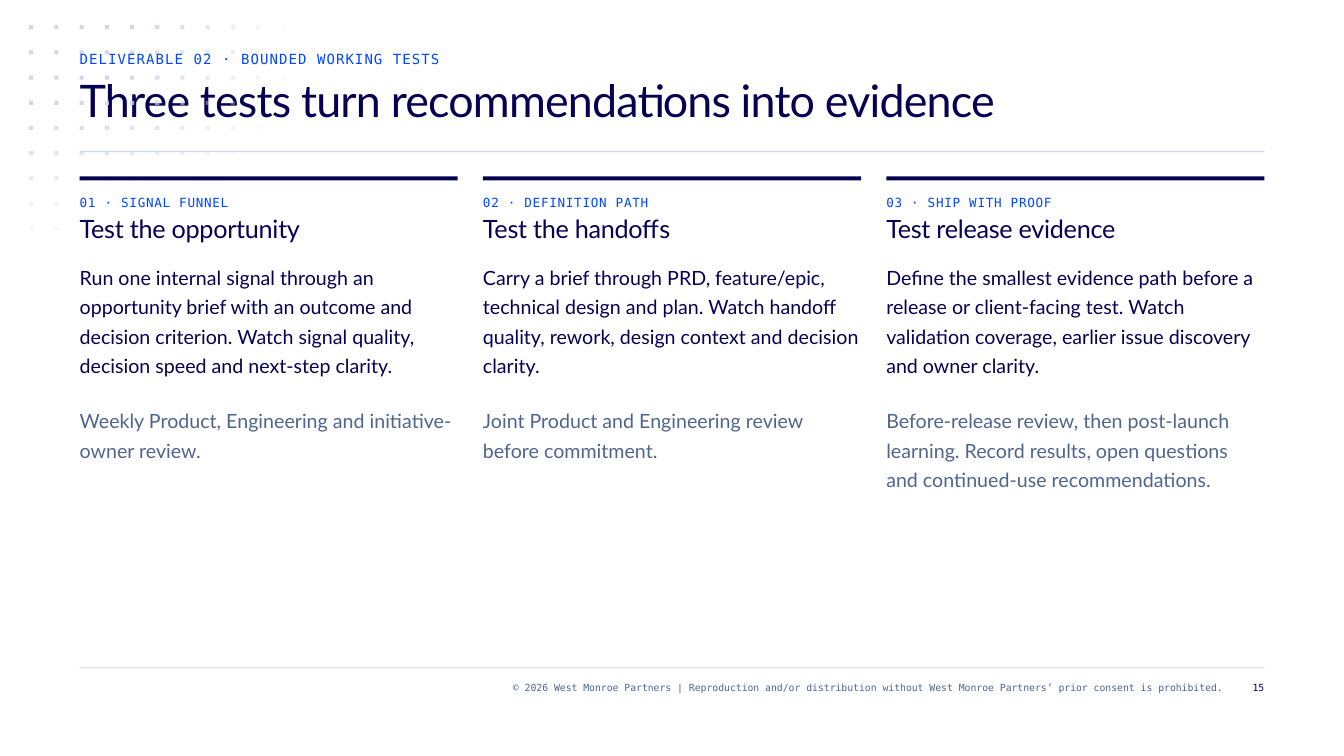
from math import hypot

from lxml import etree
from pptx import Presentation
from pptx.dml.color import RGBColor
from pptx.enum.shapes import MSO_SHAPE
from pptx.enum.text import MSO_ANCHOR, MSO_AUTO_SIZE, PP_ALIGN
from pptx.oxml.ns import qn
from pptx.util import Inches, Pt

RECT = MSO_SHAPE.RECTANGLE
LEFT, RIGHT = PP_ALIGN.LEFT, PP_ALIGN.RIGHT
TOP = MSO_ANCHOR.TOP
NO_FIT = MSO_AUTO_SIZE.NONE

NAVY = RGBColor(0x07, 0x01, 0x54)
BLUE = RGBColor(0x00, 0x47, 0xFF)
SLATE = RGBColor(0x50, 0x65, 0x8E)
PALE = RGBColor(0xCE, 0xD7, 0xE6)

SANS, MONO = "Lato", "DejaVu Sans Mono"

MARGIN, CONTENT_W = 0.79, 11.75
COLUMN_W, COLUMN_PITCH = 3.75, 4.0
DOT_SIZE, DOT_PITCH = 0.04, 0.25

TESTS = [
    ("01 · SIGNAL FUNNEL", "Test the opportunity",
     "Run one internal signal through an opportunity brief with an outcome and "
     "decision criterion. Watch signal quality, decision speed and next-step clarity.",
     "Weekly Product, Engineering and initiative-owner review."),
    ("02 · DEFINITION PATH", "Test the handoffs",
     "Carry a brief through PRD, feature/epic, technical design and plan. Watch "
     "handoff quality, rework, design context and decision clarity.",
     "Joint Product and Engineering review before commitment."),
    ("03 · SHIP WITH PROOF", "Test release evidence",
     "Define the smallest evidence path before a release or client-facing test. Watch "
     "validation coverage, earlier issue discovery and owner clarity.",
     "Before-release review, then post-launch learning. Record results, open questions "
     "and continued-use recommendations."),
]


def add_bar(s, x, y, w, h, color, opacity=100):
    sp = s.shapes.add_shape(RECT, Inches(x), Inches(y), Inches(w), Inches(h))
    sp.shadow.inherit = False
    sp.fill.solid()
    sp.fill.fore_color.rgb = color
    sp.line.fill.background()
    if opacity < 100:
        clr = sp.fill._xPr.find(qn("a:solidFill"))[0]
        etree.SubElement(clr, qn("a:alpha")).set("val", str(opacity * 1000))


def set_text(sp, text, font, size, color, leading, spacing=0, align=LEFT):
    tf = sp.text_frame
    tf.margin_left = tf.margin_top = tf.margin_right = tf.margin_bottom = 0
    tf.word_wrap = True
    tf.auto_size = NO_FIT
    tf.vertical_anchor = TOP
    p = tf.paragraphs[0]
    p.text = text
    p.alignment = align
    p.line_spacing = Pt(leading)
    p.space_before = Pt(0)
    p.font.name = font
    p.font.size = Pt(size)
    p.font.color.rgb = color
    if spacing:
        p._p.pPr.find(qn("a:defRPr")).set("spc", str(round(spacing * 100)))


def add_text(s, x, y, w, h, *args, **kwargs):
    sp = s.shapes.add_textbox(Inches(x), Inches(y), Inches(w), Inches(h))
    set_text(sp, *args, **kwargs)


def add_dot_field(s):
    """Dots that fade out along an ellipse from the top left corner."""
    for col in range(11):
        for row in range(9):
            opacity = min(100, int(153 * (1 - hypot(col / 11.07, row / 9.07))))
            if opacity >= 2:
                add_bar(s, 0.29 + col * DOT_PITCH, 0.25 + row * DOT_PITCH,
                        DOT_SIZE, DOT_SIZE, PALE, opacity)


def add_title(s, text):
    sp = s.shapes.title
    sp.left, sp.top = Inches(MARGIN), Inches(0.75)
    sp.width, sp.height = Inches(CONTENT_W), Inches(0.75)
    set_text(sp, text, SANS, 32, NAVY, 36, spacing=-0.6)


def add_test(s, x, label, heading, task, review):
    add_bar(s, x, 1.75, COLUMN_W, 0.04, NAVY)
    add_text(s, x, 1.92, COLUMN_W, 0.17, label, MONO, 9, BLUE, 12, spacing=0.5)
    add_text(s, x, 2.08, COLUMN_W, 0.33, heading, SANS, 18, NAVY, 24, spacing=-0.2)
    add_text(s, x, 2.58, COLUMN_W, 1.17, task, SANS, 14, NAVY, 21)
    add_text(s, x, 4, COLUMN_W, 0.88, review, SANS, 14, SLATE, 21)


def main():
    prs = Presentation()
    prs.slide_width, prs.slide_height = Inches(13.33), Inches(7.5)
    s = prs.slides.add_slide(prs.slide_layouts[5])

    # Background dots and rules
    add_dot_field(s)
    for y in (1.5, 6.62):
        add_bar(s, MARGIN, y, CONTENT_W, 0.01, PALE)

    # Heading
    add_text(s, MARGIN, 0.5, CONTENT_W, 0.17, "DELIVERABLE 02 · BOUNDED WORKING TESTS",
             MONO, 10, BLUE, 12, spacing=0.8)
    add_title(s, "Three tests turn recommendations into evidence")

    # Test columns
    for i, test in enumerate(TESTS):
        add_test(s, MARGIN + i * COLUMN_PITCH, *test)

    # Footer
    add_text(s, 2.38, 6.75, 9.75, 0.25,
             "© 2026 West Monroe Partners | Reproduction and/or distribution without "
             "West Monroe Partners’ prior consent is prohibited.",
             MONO, 7, SLATE, 9, align=RIGHT)
    add_text(s, 12.21, 6.75, 0.33, 0.25, "15", MONO, 7, NAVY, 9, align=RIGHT)

    prs.save("out.pptx")


if __name__ == "__main__":
    main()
